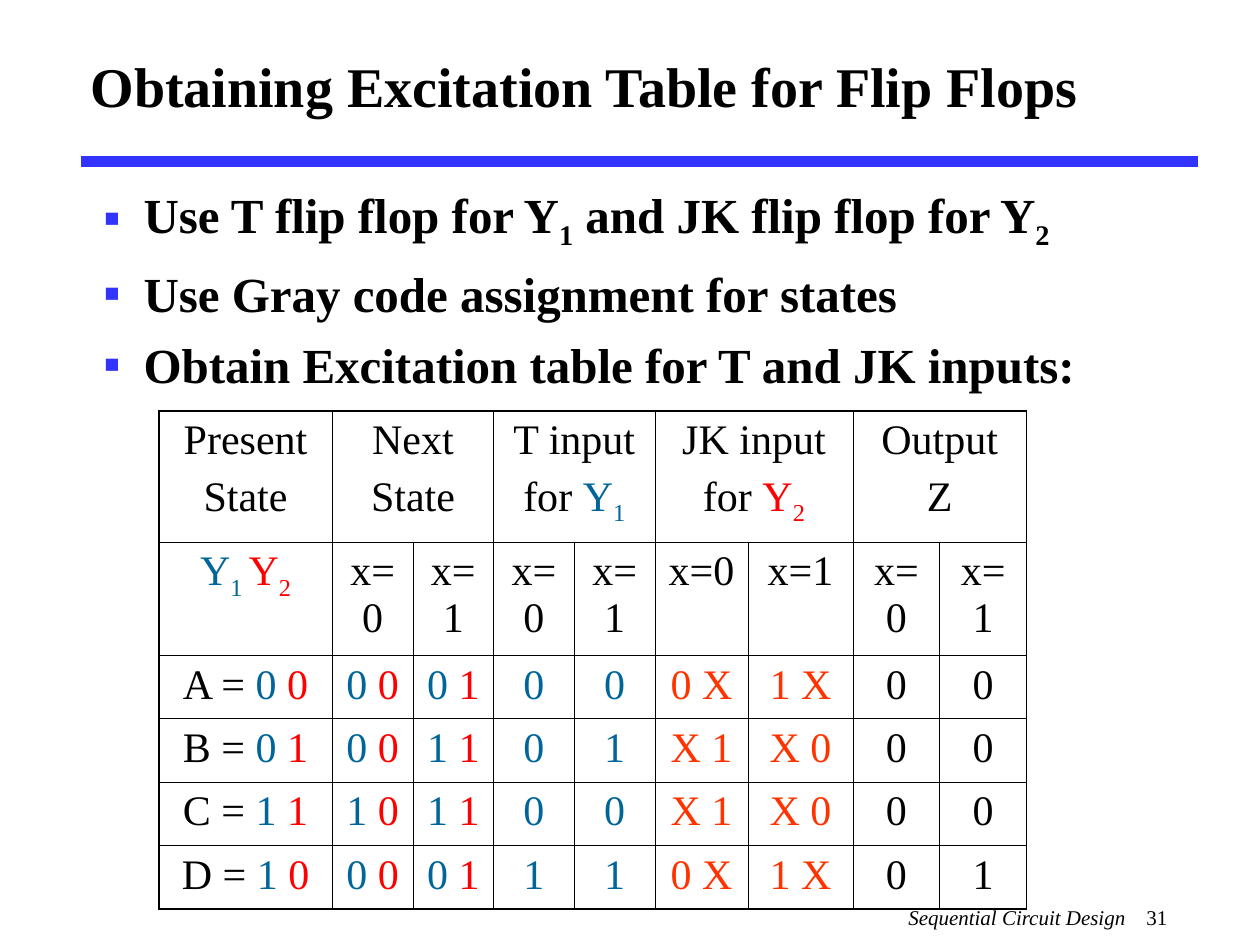
from dataclasses import dataclass

from lxml import etree
from pptx import Presentation
from pptx.dml.color import RGBColor
from pptx.enum.shapes import MSO_CONNECTOR
from pptx.enum.text import MSO_ANCHOR, PP_ALIGN
from pptx.oxml.ns import qn
from pptx.util import Pt


@dataclass(frozen=True)
class Theme:
    font: str = "Times New Roman"
    ink: str = "000000"
    accent: str = "3333FF"
    y1: str = "006699"
    y2: str = "FF0000"
    jk: str = "FF3300"
    title: int = 32
    body: int = 28
    cell: int = 24
    footer: int = 12
    grid: float = 0.45
    frame: float = 1.08


THEME = Theme()


@dataclass(frozen=True)
class Span:
    text: str
    color: str = THEME.ink
    sub: bool = False
    bold: bool = False
    italic: bool = False


def add_spans(paragraph, spans, size):
    for span in spans:
        run = paragraph.add_run()
        run.text = span.text
        font = run.font
        font.name, font.size = THEME.font, Pt(size)
        font.bold, font.italic = span.bold, span.italic
        font.color.rgb = RGBColor.from_string(span.color)
        if span.sub:
            run._r.get_or_add_rPr().set("baseline", "-25000")


def add_text_frame(slide, box, anchor=MSO_ANCHOR.TOP):
    frame = slide.shapes.add_textbox(*map(Pt, box)).text_frame
    frame.word_wrap = True
    frame.vertical_anchor = anchor
    return frame


def add_bullet(paragraph, indent):
    properties = paragraph._p.get_or_add_pPr()
    properties.set("marL", str(Pt(indent)))
    properties.set("indent", str(-Pt(indent)))
    color = etree.SubElement(properties, qn("a:buClr"))
    etree.SubElement(color, qn("a:srgbClr"), val=THEME.accent)
    etree.SubElement(properties, qn("a:buFont"), typeface=THEME.font)
    etree.SubElement(properties, qn("a:buChar"), char="▪")


def add_header(slide, box):
    """Title with the rule that runs under it."""
    left, top, width, height = box
    title = add_text_frame(slide, box, MSO_ANCHOR.MIDDLE)
    add_spans(title.paragraphs[0],
              [Span("Obtaining Excitation Table for Flip Flops", bold=True)], THEME.title)
    rule_y = top + height + 3
    rule = slide.shapes.add_connector(
        MSO_CONNECTOR.STRAIGHT, Pt(left + 1.5), Pt(rule_y), Pt(left + width + 2), Pt(rule_y))
    rule.line.color.rgb = RGBColor.from_string(THEME.accent)
    rule.line.width = Pt(6)
    etree.SubElement(rule._element.spPr, qn("a:effectLst"))


def add_steps(slide, box):
    steps = [
        [Span("Use T flip flop for Y", bold=True), Span("1", sub=True, bold=True),
         Span(" and JK flip flop for Y", bold=True), Span("2", sub=True, bold=True)],
        [Span("Use Gray code assignment for states", bold=True)],
        [Span("Obtain Excitation table for T and JK inputs:", bold=True)],
    ]
    frame = add_text_frame(slide, box)
    for index, spans in enumerate(steps):
        paragraph = frame.add_paragraph() if index else frame.paragraphs[0]
        add_bullet(paragraph, 23)
        if index:
            paragraph.space_before = Pt(7)
        add_spans(paragraph, spans, THEME.body)


def set_borders(cell, row, column, last_row, last_column):
    """Thin grid lines, with a heavier line on the outside of the table."""
    outside = {"a:lnL": column == 0, "a:lnR": column == last_column,
               "a:lnT": row == 0, "a:lnB": row == last_row}
    properties = cell._tc.get_or_add_tcPr()
    for position, (tag, is_outside) in enumerate(outside.items()):
        width = THEME.frame if is_outside else THEME.grid
        line = etree.Element(qn(tag), w=str(Pt(width)))
        fill = etree.SubElement(line, qn("a:solidFill"))
        etree.SubElement(fill, qn("a:srgbClr"), val=THEME.ink)
        properties.insert(position, line)


def fill_cell(cell, lines):
    for index, spans in enumerate(lines):
        frame = cell.text_frame
        paragraph = frame.add_paragraph() if index else frame.paragraphs[0]
        paragraph.alignment = PP_ALIGN.CENTER
        if index:
            paragraph.space_before = Pt(6)
        add_spans(paragraph, spans, THEME.cell)


def code_spans(code):
    """Two state bits, each in the colour of its flip flop."""
    first, second = code
    return [Span(first + " ", THEME.y1), Span(second, THEME.y2)]


def state_row(state, code, next_codes, t_inputs, jk_inputs, outputs):
    return ([[[Span(f"{state} = "), *code_spans(code)]]]
            + [[code_spans(next_code)] for next_code in next_codes]
            + [[[Span(t, THEME.y1)]] for t in t_inputs]
            + [[[Span(jk, THEME.jk)]] for jk in jk_inputs]
            + [[[Span(z)]] for z in outputs])


def add_excitation_table(slide, box):
    groups = [
        [[Span("Next")], [Span("State")]],
        [[Span("T input")], [Span("for "), Span("Y", THEME.y1), Span("1", THEME.y1, sub=True)]],
        [[Span("JK input")], [Span("for "), Span("Y", THEME.y2), Span("2", THEME.y2, sub=True)]],
        [[Span("Output")], [Span("Z")]],
    ]
    group_row = [[[Span("Present")], [Span("State")]]]
    for group in groups:
        group_row += [group, []]
    variables = [Span("Y", THEME.y1), Span("1 ", THEME.y1, sub=True),
                 Span("Y", THEME.y2), Span("2", THEME.y2, sub=True)]
    input_row = [[variables]] + [[[Span(x)]] for x in ("x=0", "x=1") * len(groups)]
    rows = [
        group_row,
        input_row,
        state_row("A", "00", ("00", "01"), "00", ("0 X", "1 X"), "00"),
        state_row("B", "01", ("00", "11"), "01", ("X 1", "X 0"), "00"),
        state_row("C", "11", ("10", "11"), "00", ("X 1", "X 0"), "00"),
        state_row("D", "10", ("00", "01"), "11", ("0 X", "1 X"), "01"),
    ]
    widths = [99.2, 46.1, 46.1, 46.1, 46.1, 53.2, 60, 49.6, 49.6]
    heights = [75, 60.5] + [36.2] * 4

    table = slide.shapes.add_table(len(rows), len(widths), *map(Pt, box)).table
    table.first_row = table.horz_banding = False
    for column, width in zip(table.columns, widths):
        column.width = Pt(width)
    for row, height in zip(table.rows, heights):
        row.height = Pt(height)
    for r, row in enumerate(rows):
        for c, lines in enumerate(row):
            cell = table.cell(r, c)
            cell.fill.background()
            set_borders(cell, r, c, len(rows) - 1, len(widths) - 1)
            fill_cell(cell, lines)
    for c in range(1, len(widths), 2):
        table.cell(0, c).merge(table.cell(0, c + 1))
        set_borders_right = c + 1 == len(widths) - 1
        if set_borders_right:
            table.cell(0, c)._tc.tcPr.find(qn("a:lnR")).set("w", str(Pt(THEME.frame)))


def add_footer(slide, box):
    """Chapter name and page number, set apart by a tab stop."""
    paragraph = add_text_frame(slide, box).paragraphs[0]
    tabs = etree.SubElement(paragraph._p.get_or_add_pPr(), qn("a:tabLst"))
    etree.SubElement(tabs, qn("a:tab"), pos=str(Pt(136)), algn="l")
    add_spans(paragraph, [Span("Sequential Circuit Design", italic=True), Span("\t31")],
              THEME.footer)


def main():
    presentation = Presentation()
    presentation.slide_width, presentation.slide_height = Pt(720), Pt(540)
    slide = presentation.slides.add_slide(presentation.slide_layouts[6])
    add_header(slide, (44.6, 8.6, 638, 80.6))
    add_steps(slide, (52, 102, 623.5, 132))
    add_excitation_table(slide, (90.7, 234.7, 496, 280.3))
    add_footer(slide, (512, 513.4, 168, 26.6))
    presentation.save("out.pptx")


if __name__ == "__main__":
    main()
